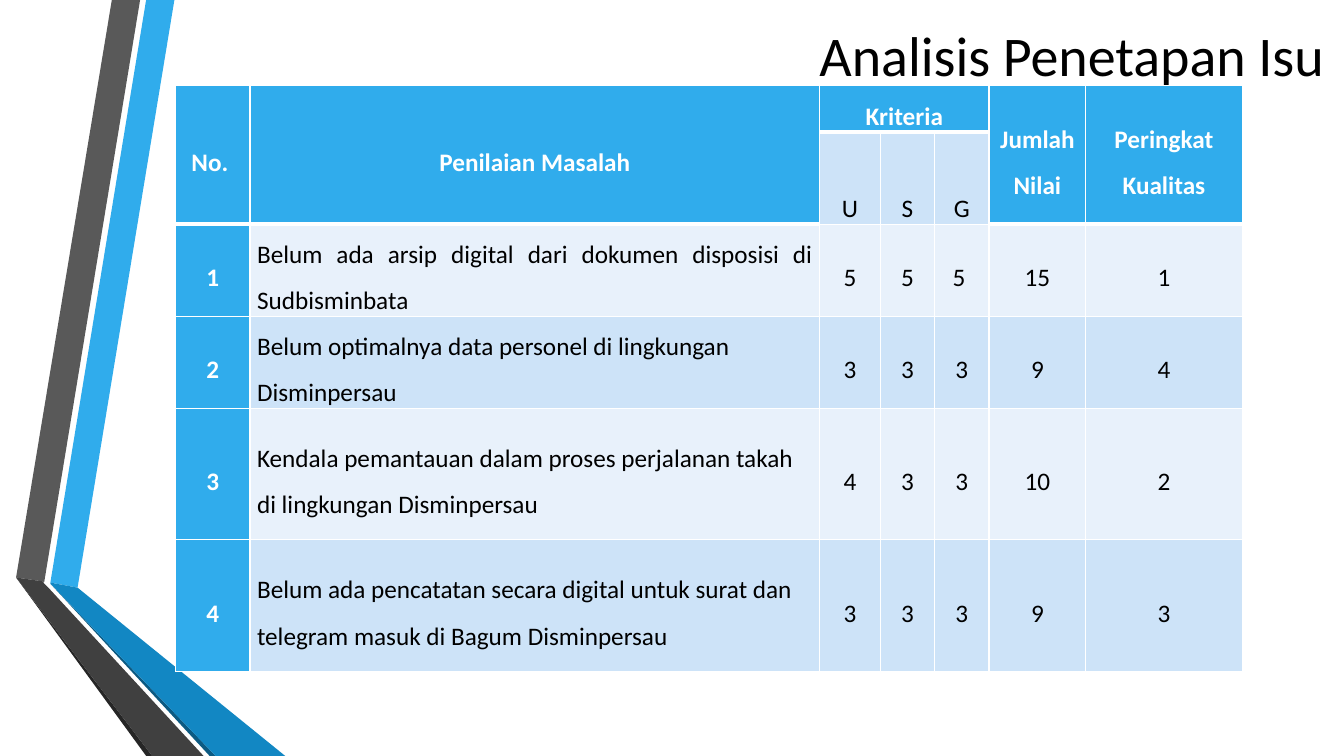
from typing import NamedTuple

from lxml import etree
from pptx import Presentation
from pptx.dml.color import RGBColor
from pptx.enum import text
from pptx.oxml import ns
from pptx import util as u

PX = 9144
FONT = "Calibri"
BLUE, PALE, MID, WHITE, BLACK = "30ACEC", "E8F1FB", "CDE3F8", "FFFFFF", "000000"
CENTER, LEFT, JUSTIFY = text.PP_ALIGN.CENTER, text.PP_ALIGN.LEFT, text.PP_ALIGN.JUSTIFY
MIDDLE, BOTTOM = text.MSO_ANCHOR.MIDDLE, text.MSO_ANCHOR.BOTTOM


class Ribbon(NamedTuple):
    color: str
    points: list[tuple[int, int]]


class Issue(NamedTuple):
    problem: str
    align: text.PP_ALIGN
    values: list[str]


RIBBONS = [
    Ribbon(BLUE, [(50, 578), (77, 583), (173, 0), (145, 0)]),
    Ribbon("595959", [(139, 0), (111, 0), (16, 573), (44, 577)]),
    Ribbon("262626", [(16, 573), (145, 750), (151, 750)]),
    Ribbon("0C5A82", [(50, 579), (208, 750), (214, 750)]),
    Ribbon("1287C3", [(50, 579), (214, 750), (283, 750), (77, 583), (50, 578)]),
    Ribbon("404040", [(202, 750), (48, 583), (43, 578), (44, 577), (16, 573), (151, 750)]),
]
COLUMNS = [74, 565, 60, 54, 54, 96, 155]
ROWS = [40, 90, 85, 85, 130, 131]
HEADERS = {0: "No. ", 1: "Penilaian Masalah", 2: "Kriteria",
           5: "Jumlah Nilai", 6: "Peringkat Kualitas"}
CRITERIA = range(2, 5)
ISSUES = [
    Issue("Belum ada arsip digital dari dokumen disposisi di Sudbisminbata",
          JUSTIFY, ["5", "5", "5 ", "15", "1"]),
    Issue("Belum optimalnya data personel di lingkungan Disminpersau",
          LEFT, ["3", "3", "3", "9", "4"]),
    Issue("Kendala pemantauan dalam proses perjalanan takah di lingkungan Disminpersau",
          LEFT, ["4", "3", "3", "10", "2"]),
    Issue("Belum ada pencatatan secara digital untuk surat dan telegram masuk di Bagum Disminpersau",
          LEFT, ["3", "3", "3", "9", "3"]),
]


def px(n: int) -> u.Emu:
    return u.Emu(n * PX)


def paint(fill, color: str) -> None:
    fill.solid()
    fill.fore_color.rgb = RGBColor.from_string(color)


def set_font(p, size: int, color: str, bold: bool = False) -> None:
    p.font.name, p.font.size, p.font.bold = FONT, u.Pt(size), bold
    paint(p.font.fill, color)


def draw_ribbon(s, ribbon: Ribbon) -> None:
    start, *rest = ribbon.points
    builder = s.shapes.build_freeform(*start, scale=PX)
    builder.add_line_segments(rest, close=True)
    sp = builder.convert_to_shape()
    sp.shadow.inherit = False
    paint(sp.fill, ribbon.color)
    sp.line.fill.background()


def set_borders(cell, bottom: int) -> None:
    tc_pr = cell._tc.get_or_add_tcPr()
    for i, (side, width) in enumerate([("lnL", 1), ("lnR", 1), ("lnB", bottom)]):
        ln = etree.Element(ns.qn(f"a:{side}"), w=str(u.Pt(width)))
        solid = etree.SubElement(ln, ns.qn("a:solidFill"))
        etree.SubElement(solid, ns.qn("a:srgbClr"), val=WHITE)
        tc_pr.insert(i, ln)


def fill_cell(cell, words: str, fill: str, align=CENTER, anchor=MIDDLE, bottom: int = 1) -> None:
    heading = fill == BLUE
    cell.margin_left = cell.margin_right = px(7)
    cell.margin_top = cell.margin_bottom = 0
    cell.vertical_anchor = anchor
    paint(cell.fill, fill)
    set_borders(cell, bottom)
    if words:
        cell.text = words
        p = cell.text_frame.paragraphs[0]
        p.alignment, p.line_spacing, p.space_after = align, 1.5, u.Pt(10)
        set_font(p, 18, WHITE if heading else BLACK, heading)


def draw_table(s) -> None:
    frame = s.shapes.add_table(len(ROWS), len(COLUMNS), px(174), px(85),
                               px(sum(COLUMNS)), px(sum(ROWS)))
    table = frame.table
    for column, width in zip(table.columns, COLUMNS):
        column.width = px(width)
    for row, height in zip(table.rows, ROWS):
        row.height = px(height)

    for c in range(len(COLUMNS)):
        grouped = c in CRITERIA
        fill_cell(table.cell(0, c), HEADERS.get(c, ""), BLUE,
                  anchor=BOTTOM if grouped else MIDDLE, bottom=3)
        if grouped:
            fill_cell(table.cell(1, c), "USG"[c - CRITERIA.start], MID, anchor=BOTTOM)
        else:
            fill_cell(table.cell(1, c), "", BLUE, bottom=3)
            table.cell(0, c).merge(table.cell(1, c))
    table.cell(0, CRITERIA[0]).merge(table.cell(0, CRITERIA[-1]))

    for number, issue in enumerate(ISSUES, 1):
        r = number + 1
        band = PALE if number % 2 else MID
        fill_cell(table.cell(r, 0), str(number), BLUE)
        fill_cell(table.cell(r, 1), issue.problem, band, issue.align)
        for c, value in enumerate(issue.values, 2):
            fill_cell(table.cell(r, c), value, band)


def main() -> None:
    """Build the issue analysis slide."""
    prs = Presentation()
    prs.slide_width, prs.slide_height = px(1333), px(750)
    s = prs.slides.add_slide(prs.slide_layouts[5])
    for ribbon in RIBBONS:
        draw_ribbon(s, ribbon)

    title = s.shapes.title
    title.left, title.top, title.width, title.height = px(515), px(-42), px(1096), px(192)
    tf = title.text_frame
    tf.text = "Analisis Penetapan Isu"
    tf.vertical_anchor = MIDDLE
    p = tf.paragraphs[0]
    p.alignment = CENTER
    set_font(p, 40, BLACK)

    draw_table(s)
    prs.save("out.pptx")


if __name__ == "__main__":
    main()
